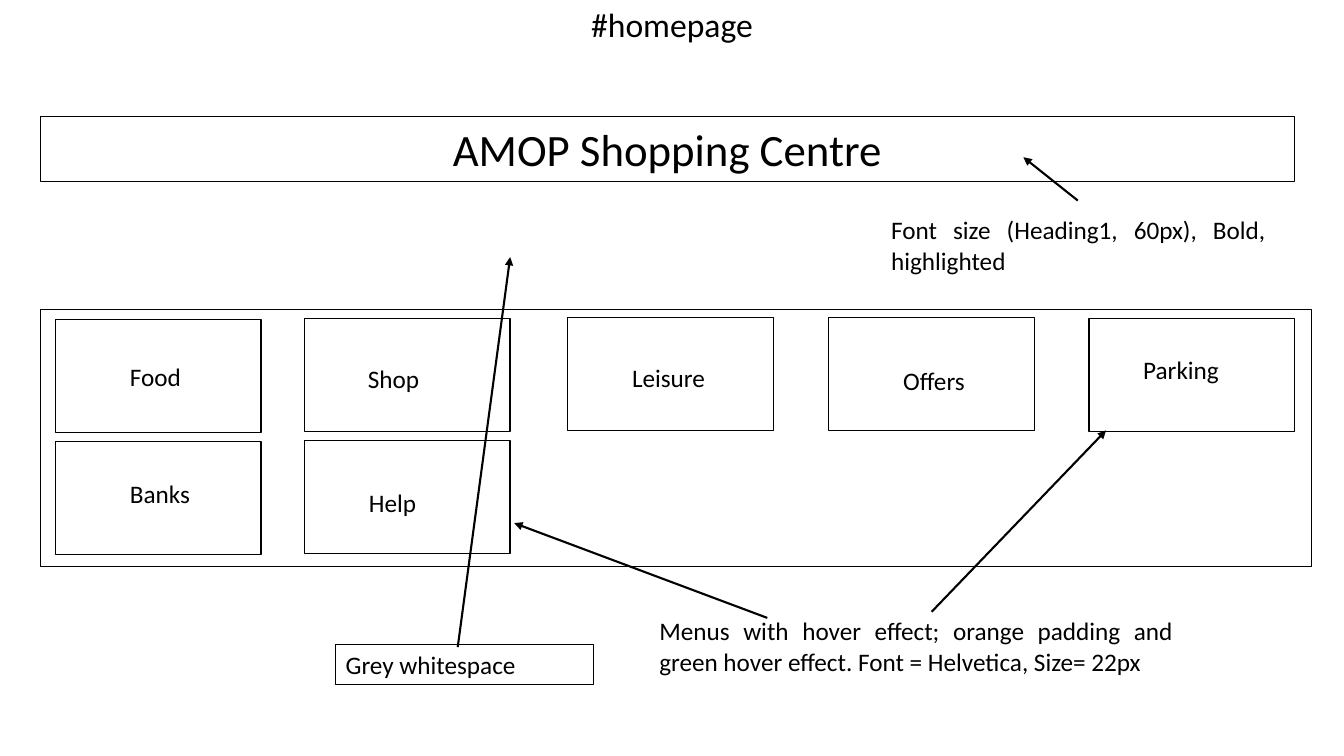
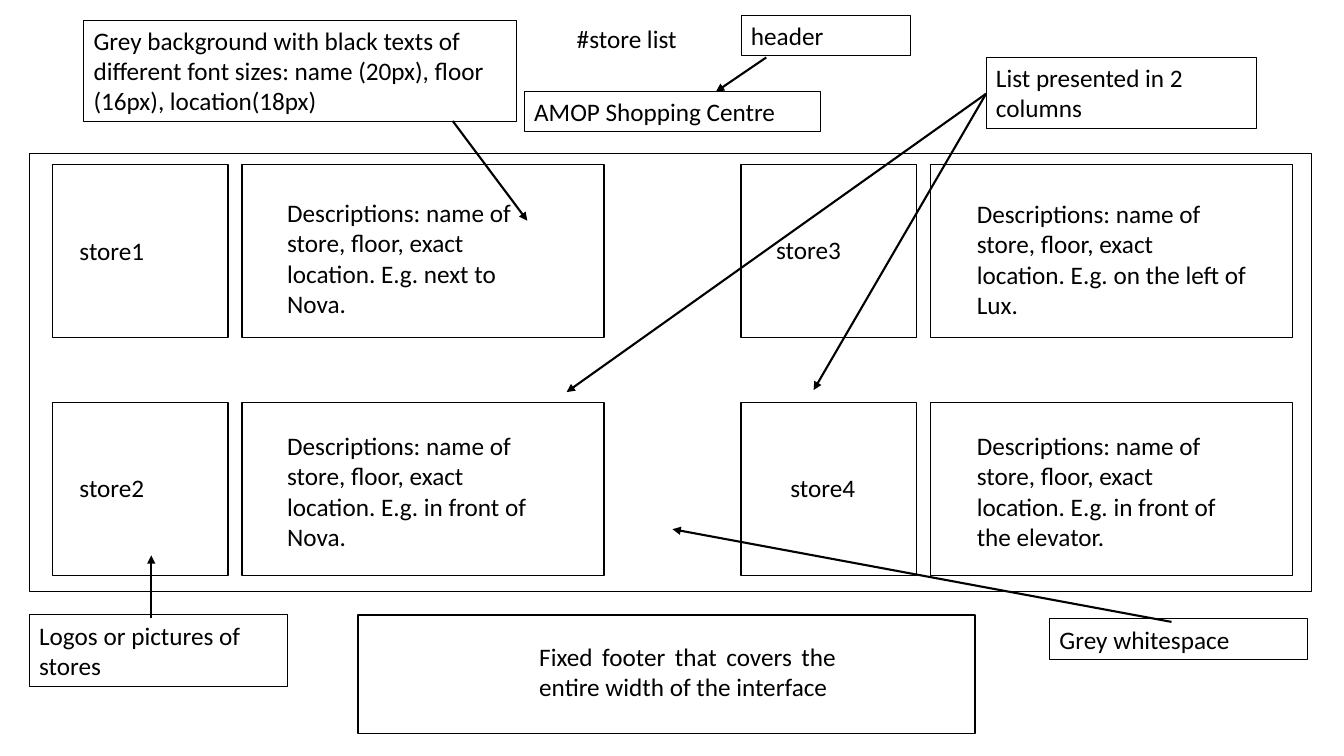
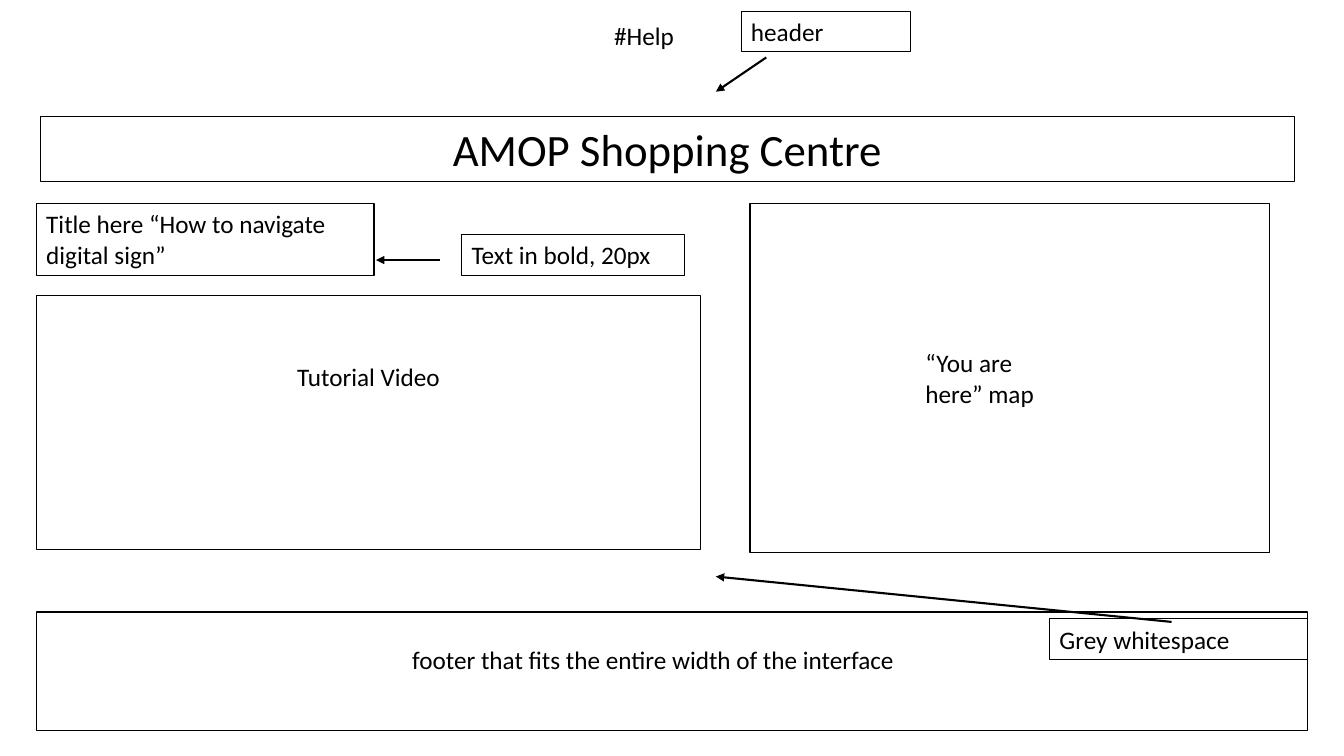
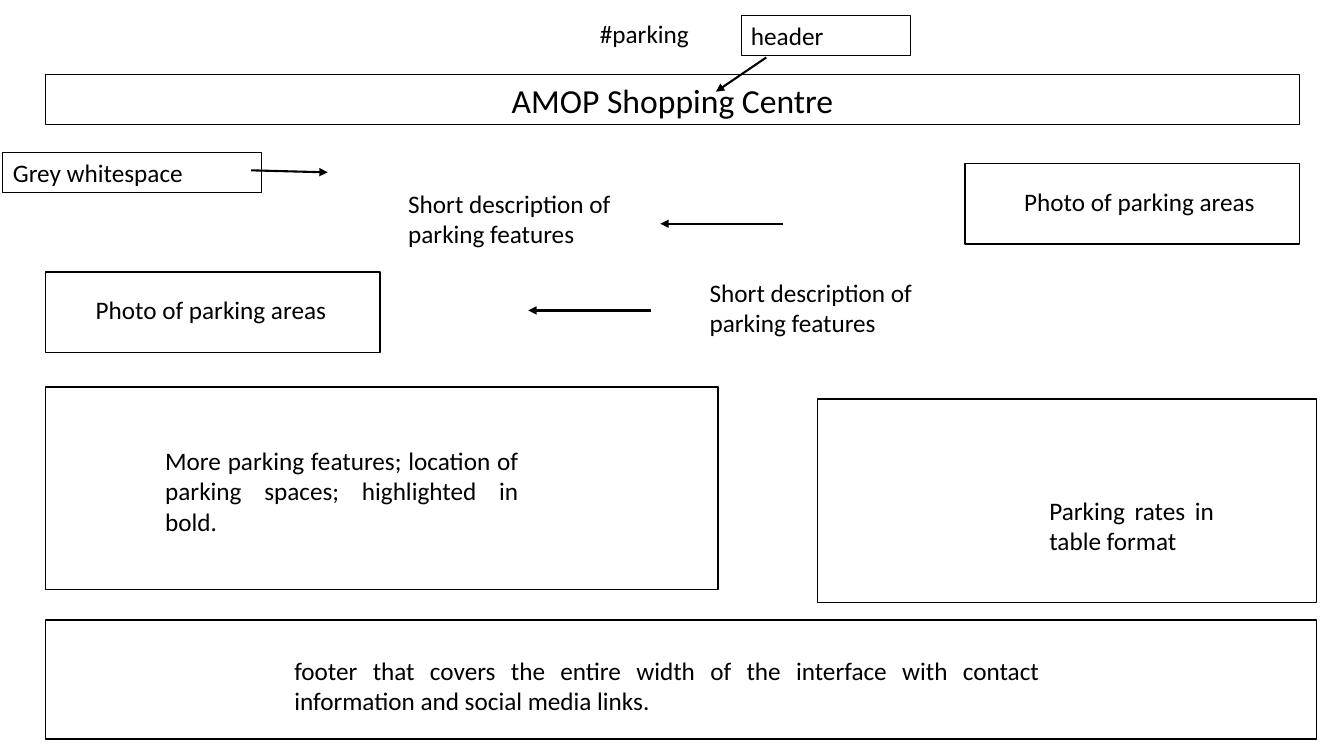
from lxml import etree
from pptx import Presentation
from pptx.dml import color
from pptx.enum import shapes, text
from pptx.oxml import ns
from pptx.util import Inches, Pt

INK = "000000"
FONT = "Calibri"
LEFT, CENTER, JUSTIFY = text.PP_ALIGN.LEFT, text.PP_ALIGN.CENTER, text.PP_ALIGN.JUSTIFY
CENTRE_NAME = "AMOP Shopping Centre"


def write(slide, words, at, size=18, align=LEFT, border=0, inset=0.05, holder=None):
    left, top, width, height = map(Inches, at)
    if holder is None:
        holder = slide.shapes.add_textbox(left, top, width, height)
    holder.left, holder.top, holder.width, holder.height = left, top, width, height
    if border:
        holder.line.color.rgb = color.RGBColor.from_string(INK)
        holder.line.width = Pt(border)
    frame = holder.text_frame
    frame.word_wrap = True
    frame.auto_size = text.MSO_AUTO_SIZE.NONE
    frame.vertical_anchor = text.MSO_ANCHOR.TOP
    frame.margin_top = Inches(inset)
    paragraph = frame.paragraphs[0]
    paragraph.alignment = align
    run = paragraph.add_run()
    run.text = words
    run.font.name = FONT
    run.font.size = Pt(size)
    run.font.color.rgb = color.RGBColor.from_string(INK)


def draw(slide, panels, arrows):
    for at in panels:
        panel = slide.shapes.add_shape(shapes.MSO_SHAPE.RECTANGLE, *map(Inches, at))
        panel.shadow.inherit = False
        panel.fill.background()
        panel.line.color.rgb = color.RGBColor.from_string(INK)
        panel.line.width = Pt(1)
    for ends in arrows:
        arrow = slide.shapes.add_connector(shapes.MSO_CONNECTOR.STRAIGHT, *map(Inches, ends))
        arrow.line.color.rgb = color.RGBColor.from_string(INK)
        arrow.line.width = Pt(1.5)
        etree.SubElement(arrow.get_or_add_ln(), ns.qn("a:tailEnd"), type="triangle")
        etree.SubElement(arrow.element.spPr, ns.qn("a:effectLst"))


deck = Presentation()
deck.slide_width, deck.slide_height = Inches(13.33), Inches(7.5)

titles = [
    ("#homepage", (0, -0.01, 13.33, 0.5), 24, CENTER),
    ("#store list", (5.62, 0.18, 1.98, 0.4), 18, LEFT),
    ("#Help", (5.99, 0.15, 0.82, 0.4), 18, LEFT),
    ("#parking", (5.85, 0.13, 1.52, 0.4), 18, LEFT),
]
pages = []
for words, at, size, align in titles:
    page = deck.slides.add_slide(deck.slide_layouts[5])
    write(page, words, at, size=size, align=align, holder=page.shapes.title)
    pages.append(page)
homepage, store_list, help_page, parking = pages

for page, at, size in [
    (homepage, (0.4, 1.16, 12.44, 0.64), 32),
    (help_page, (0.4, 1.16, 12.44, 0.64), 32),
    (parking, (0.45, 0.74, 12.44, 0.5), 24),
]:
    write(page, CENTRE_NAME, at, size=size, align=CENTER, border=0.75)

for page, left, top in [
    (homepage, 3.33, 6.39),
    (store_list, 10.41, 6.14),
    (help_page, 10.41, 6.14),
    (parking, 0.03, 1.51),
]:
    write(page, "Grey whitespace", (left, top, 2.56, 0.4), border=0.75)

for page, top in [(store_list, 0.15), (help_page, 0.11), (parking, 0.15)]:
    write(page, "header", (7.35, top, 1.68, 0.4), border=0.75)
    draw(page, [], [(7.6, 0.57, 7.1, 0.91)])

menu = [
    ("Food", 0.55, 3.17, 1.19, 3.54),
    ("Shop", 3.02, 3.16, 3.55, 3.56),
    ("Leisure", 5.63, 3.15, 6.17, 3.55),
    ("Offers", 8.22, 3.15, 8.86, 3.58),
    ("Parking", 10.8, 3.16, 11.24, 3.47),
    ("Banks", 0.55, 4.38, 1.19, 4.7),
    ("Help", 3.02, 4.37, 3.56, 4.79),
]
for words, left, top, text_left, text_top in menu:
    draw(homepage, [(left, top, 2.04, 1.12)], [])
    write(homepage, words, (text_left, text_top, 0.99, 0.4))
write(homepage, "Menus with hover effect; orange padding and green hover effect. Font = Helvetica, Size= 22px",
      (6.44, 6.06, 5.29, 0.71), align=JUSTIFY)
write(homepage, "Font size (Heading1, 60px), Bold, highlighted", (8.74, 2.08, 3.91, 0.71), align=JUSTIFY)
draw(homepage, [(0.4, 3.07, 12.61, 2.55)], [
    (7.61, 6.13, 5.1, 5.19),
    (9.24, 6.07, 10.97, 4.27),
    (10.69, 1.99, 10.15, 1.56),
    (4.54, 6.42, 5.06, 2.55),
])

for column_left in (0.52, 7.35):
    for row_top in (1.63, 3.99):
        draw(store_list, [(column_left, row_top, 1.74, 1.72),
                          (column_left + 1.88, row_top, 3.59, 1.72)], [])
stores = [
    ("store1", 0.69, 2.29, "next to Nova.", 2.75, 1.91),
    ("store2", 0.69, 4.64, "in front of Nova.", 2.75, 4.22),
    ("store3", 7.6, 2.28, "on the left of Lux.", 9.59, 1.92),
    ("store4", 7.74, 4.64, "in front of the elevator.", 9.59, 4.22),
]
for store, left, top, place, place_left, place_top in stores:
    write(store_list, store, (left, top, 1.27, 0.4))
    write(store_list, f"Descriptions: name of store, floor, exact location. E.g. {place}",
          (place_left, place_top, 2.87, 1.31))
for words, at in [
    (CENTRE_NAME, (5.2, 0.91, 2.94, 0.4)),
    ("Grey background with black texts of different font sizes: name (20px), floor (16px), location(18px)",
     (0.83, 0.2, 4.29, 1.01)),
    ("Logos or pictures of stores", (0.29, 6.1, 2.56, 0.71)),
    ("List presented in 2 columns", (9.78, 0.57, 2.68, 0.71)),
]:
    write(store_list, words, at, border=0.75)
write(store_list, "Fixed footer that covers the entire width of the interface",
      (5.25, 6.31, 3.14, 0.71), align=JUSTIFY)
draw(store_list, [(0.29, 1.52, 12.72, 4.35), (3.55, 6.1, 6.12, 1.18)], [
    (4.49, 1.2, 5.23, 2.19),
    (1.5, 6.13, 1.5, 5.51),
    (9.78, 0.93, 5.62, 3.89),
    (9.78, 0.93, 8.07, 3.87),
    (11.62, 6.17, 6.67, 5.25),
])

write(help_page, "Tutorial Video", (0.36, 2.93, 6.59, 2.52), align=CENTER, border=0.75, inset=0.65)
write(help_page, "Title here “How to navigate digital sign”", (0.36, 2.02, 3.35, 0.71), border=0.75)
write(help_page, "Text in bold, 20px", (4.58, 2.33, 2.21, 0.4), border=0.75)
write(help_page, "“You are here” map", (9.08, 3.4, 1.6, 0.71))
write(help_page, "footer that fits the entire width of the interface", (3.99, 6.34, 6.02, 0.4), align=JUSTIFY)
draw(help_page, [(0.36, 6.07, 12.61, 1.18), (7.44, 2.02, 5.15, 3.46)],
     [(11.62, 6.17, 7.1, 5.72), (4.36, 2.58, 3.73, 2.58)])

for left, top in [(10.06, 1.8), (0.85, 2.87)]:
    write(parking, "Photo of parking areas", (left, top, 2.52, 0.4))
for left, top in [(3.95, 1.82), (6.94, 2.7)]:
    write(parking, "Short description of parking features", (left, top, 2.52, 0.71))
for words, at in [
    ("More parking features; location of parking spaces; highlighted in bold.", (1.54, 4.37, 3.7, 1.01)),
    ("Parking rates in table format", (10.31, 4.86, 1.83, 0.71)),
    ("footer that covers the entire width of the interface with contact information and social media links.",
     (2.82, 6.45, 7.59, 0.71)),
]:
    write(parking, words, at, align=JUSTIFY)
draw(parking, [
    (9.57, 1.62, 3.32, 0.8),
    (0.45, 2.7, 3.32, 0.8),
    (0.45, 3.84, 6.67, 2.01),
    (8.11, 3.96, 4.95, 2.02),
    (0.45, 6.15, 12.61, 1.18),
], [
    (7.77, 2.22, 6.55, 2.22),
    (6.46, 3.08, 5.24, 3.08),
    (2.49, 1.69, 3.25, 1.71),
])

deck.save("out.pptx")
